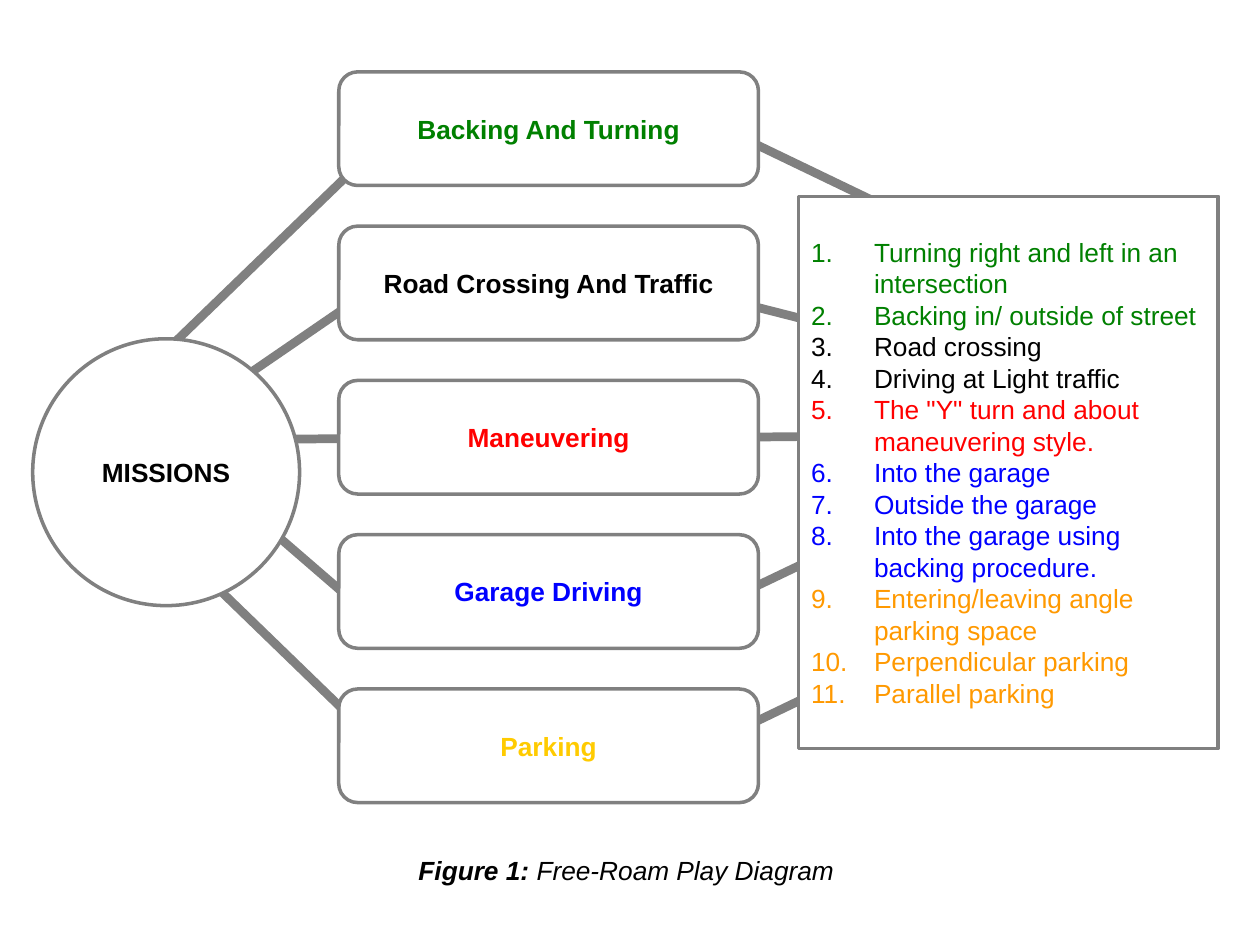
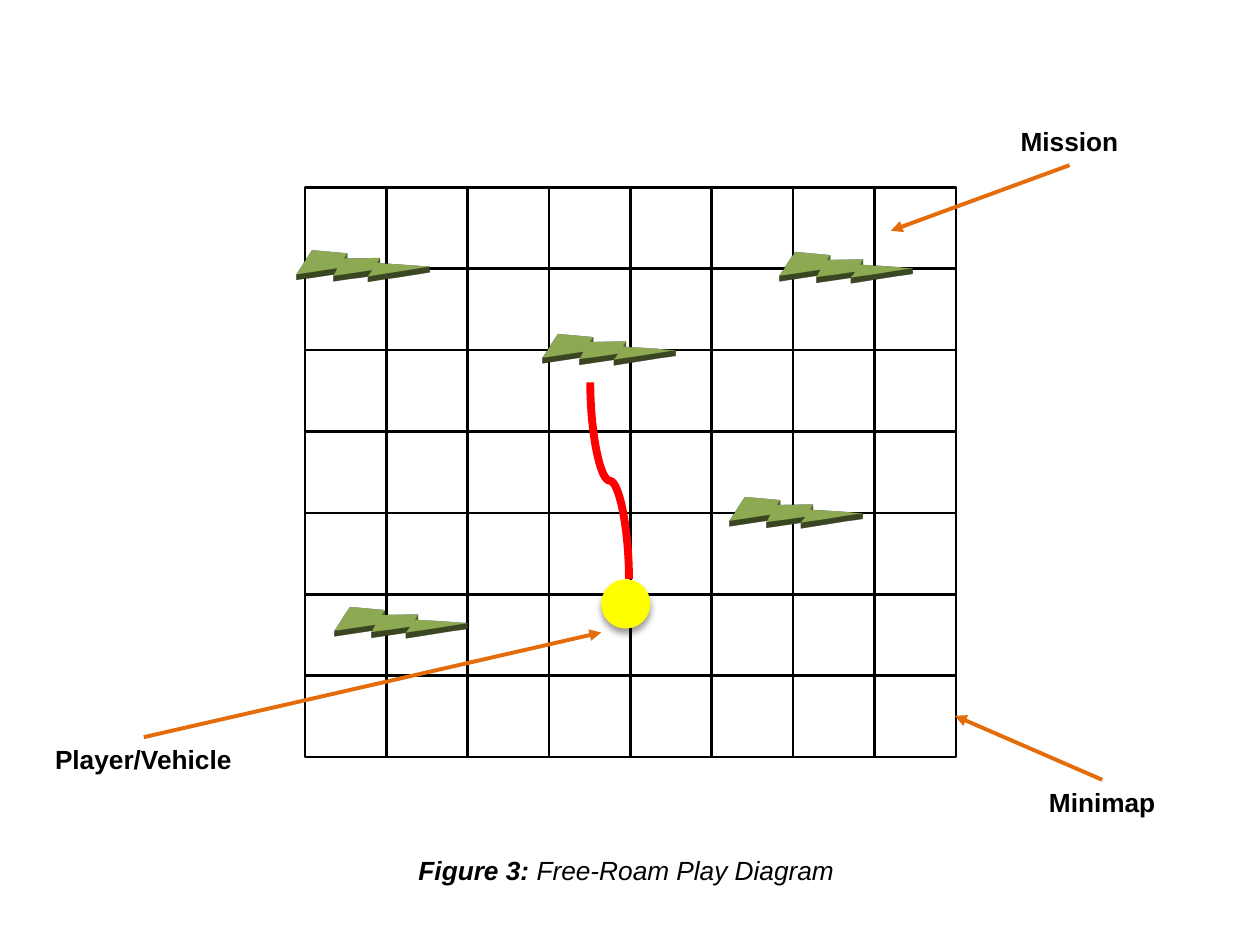
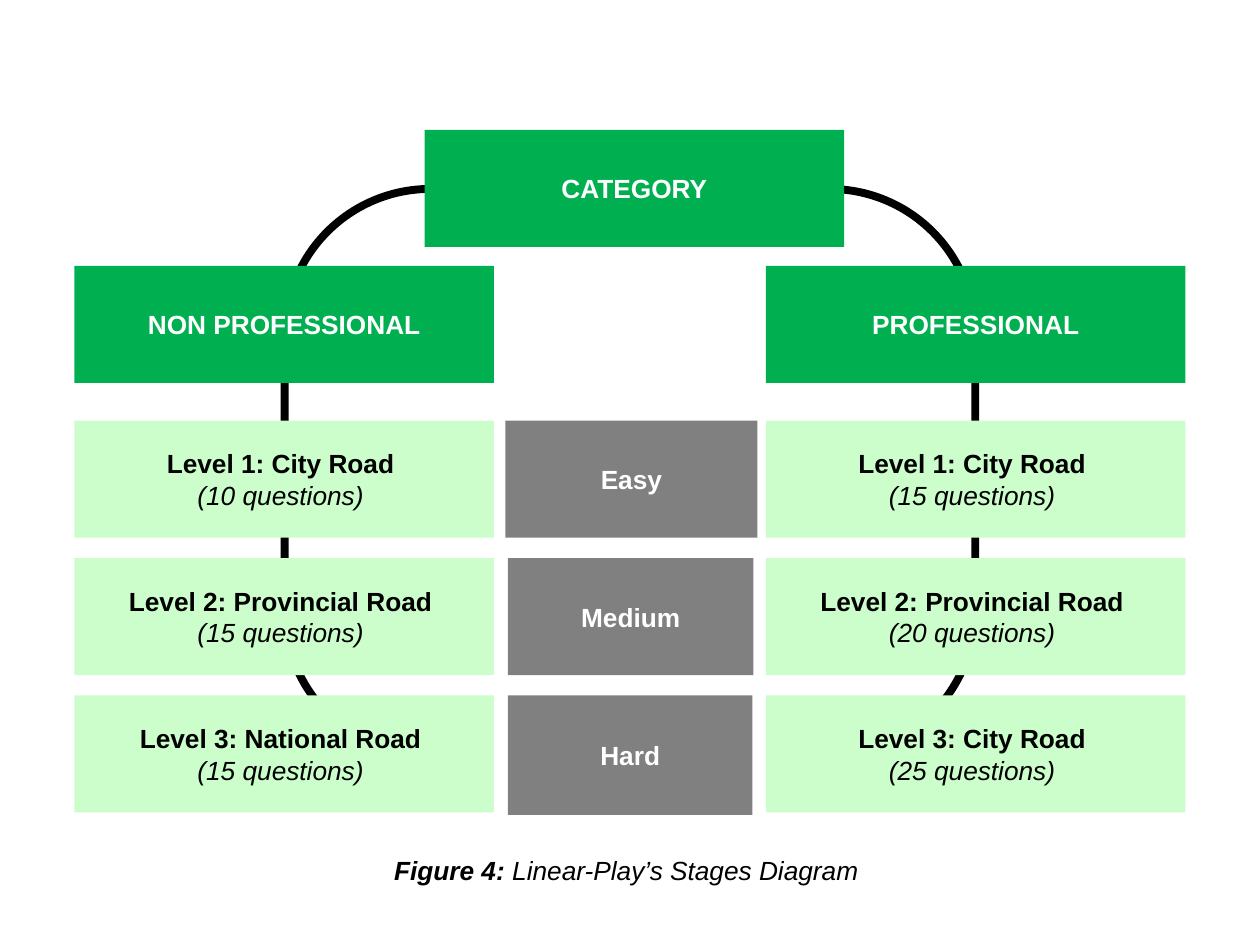
from lxml import etree
from pptx import Presentation
from pptx.dml.color import RGBColor
from pptx.enum.shapes import MSO_CONNECTOR, MSO_SHAPE
from pptx.enum.text import MSO_ANCHOR, PP_ALIGN
from pptx.oxml.ns import qn
from pptx.util import Cm, Pt

STRAIGHT, CURVE = MSO_CONNECTOR.STRAIGHT, MSO_CONNECTOR.CURVE
RECT, ROUNDED, OVAL = MSO_SHAPE.RECTANGLE, MSO_SHAPE.ROUNDED_RECTANGLE, MSO_SHAPE.OVAL
BOLT, BRACKETS = MSO_SHAPE.LIGHTNING_BOLT, MSO_SHAPE.DOUBLE_BRACKET
MIDDLE, LEFT, CENTER = MSO_ANCHOR.MIDDLE, PP_ALIGN.LEFT, PP_ALIGN.CENTER

FONT, TEXT_SIZE = "Arial", Pt(15)
COLORS = {
    "white": "FFFFFF", "black": "000000", "gray": "808080",
    "green": "008000", "red": "FF0000", "blue": "0000FF",
    "orange": "FF9900", "gold": "FFCB00", "yellow": "FFFF00",
    "arrow": "E46C0A", "bolt": "77933C", "bolt edge": "9BBB59",
    "category": "00B050", "level": "CCFECC",
}


def add_box(slide, kind, box, fill=None, line=None, width=2, paragraphs=(), align=CENTER):
    """Add a shape, or a text box if kind is None; runs are (text, color, bold, italic)."""
    place = [Cm(length) for length in box]
    if kind is None:
        shape = slide.shapes.add_textbox(*place)
    else:
        shape = slide.shapes.add_shape(kind, *place)
        shape.shadow.inherit = False
        shape.text_frame.vertical_anchor = MIDDLE
        if fill:
            shape.fill.solid()
            shape.fill.fore_color.rgb = RGBColor.from_string(COLORS[fill])
        else:
            shape.fill.background()
        if line:
            shape.line.color.rgb = RGBColor.from_string(COLORS[line])
            shape.line.width = Pt(width)
        else:
            shape.line.fill.background()
    frame = shape.text_frame
    frame.word_wrap = True
    for index, runs in enumerate(paragraphs):
        paragraph = frame.add_paragraph() if index else frame.paragraphs[0]
        paragraph.alignment = align
        for text, color, bold, italic in runs:
            run = paragraph.add_run()
            run.text = text
            run.font.name, run.font.size = FONT, TEXT_SIZE
            run.font.bold, run.font.italic = bold, italic
            run.font.color.rgb = RGBColor.from_string(COLORS[color])
    return shape


def add_line(slide, ends, color, width, kind=STRAIGHT):
    line = slide.shapes.add_connector(kind, *[Cm(length) for length in ends])
    line.line.color.rgb = RGBColor.from_string(COLORS[color])
    line.line.width = Pt(width)
    etree.SubElement(line._element.spPr, qn("a:effectLst"))
    return line


prs = Presentation()
prs.slide_width, prs.slide_height = Cm(25.4), Cm(19.05)
blank = prs.slide_layouts[6]

captions = [
    ("Figure 1:", " Free-Roam Play Diagram "),
    ("Figure 3:", " Free-Roam Play Diagram "),
    ("Figure 4:", " Linear-Play’s Stages Diagram "),
]
slides = []
for number, title in captions:
    slide = prs.slides.add_slide(blank)
    add_box(slide, None, (0, 17.09, 25.4, 0.89), paragraphs=[
        [(number, "black", True, True), (title, "black", False, True)]])
    slides.append(slide)
missions_slide, minimap_slide, stages_slide = slides

# Missions: links first, so that the boxes cover their ends
mission_links = [
    (14.48, 14.91, 19.35, 12.57), (13.67, 12.57, 18.54, 10.24),
    (12.37, 5.46, 18.47, 7.01), (10.11, 8.86, 20.35, 8.76),
    (13.72, 2.18, 18.75, 4.6), (3.91, 9.35, 7.37, 12.34),
    (3.86, 8.33, 8, 5.49), (3.15, 7.26, 7.9, 2.67),
    (2.74, 10.26, 7.49, 14.86), (5.08, 8.86, 15.29, 8.76),
]
for ends in mission_links:
    add_line(missions_slide, ends, "gray", 5)

tasks = [
    ("Turning right and left in an intersection", "green"),
    ("Backing in/ outside of street", "green"),
    ("Road crossing", "black"),
    ("Driving at Light traffic", "black"),
    ('The "Y" turn and about maneuvering style.', "red"),
    ("Into the garage", "blue"),
    ("Outside the garage", "blue"),
    ("Into the garage using backing procedure.", "blue"),
    ("Entering/leaving angle parking space", "orange"),
    ("Perpendicular parking", "orange"),
    ("Parallel parking", "orange"),
]
task_list = add_box(
    missions_slide, RECT, (16.1, 3.96, 8.46, 11.13), "white", "gray",
    paragraphs=[[(task, color, False, False)] for task, color in tasks], align=LEFT)
for paragraph in task_list.text_frame.paragraphs:
    properties = paragraph._p.get_or_add_pPr()
    properties.set("marL", str(Cm(1.27)))
    properties.set("indent", str(-Cm(1.27)))
    etree.SubElement(properties, qn("a:buFont"), typeface="+mj-lt")
    etree.SubElement(properties, qn("a:buAutoNum"), type="arabicPeriod")

add_box(missions_slide, OVAL, (0.66, 6.83, 5.38, 5.38), "white", "gray",
        paragraphs=[[("MISSIONS", "black", True, False)]])
missions = [
    ("Backing And Turning", "green"), ("Road Crossing And Traffic", "black"),
    ("Maneuvering", "red"), ("Garage Driving", "blue"), ("Parking", "gold"),
]
for row, (mission, color) in enumerate(missions):
    add_box(missions_slide, ROUNDED, (6.83, 1.45 + 3.11 * row, 8.46, 2.29), "white", "gray",
            paragraphs=[[(mission, color, True, False)]])

# Minimap
map_labels = [
    ("Player/Vehicle", -0.08, 14.86, 5.94),
    ("Mission", 19.58, 2.41, 3.96),
    ("Minimap", 20.24, 15.72, 3.96),
]
for label, left, top, width in map_labels:
    add_box(minimap_slide, None, (left, top, width, 0.89),
            paragraphs=[[(label, "black", True, False)]])

CELL = 1.64
for column in range(8):
    for row in range(7):
        add_box(minimap_slide, RECT, (6.15 + CELL * column, 3.78 + CELL * row, CELL, CELL),
                "white", "black", 1.5)

player = add_box(minimap_slide, OVAL, (12.12, 11.68, 0.99, 0.99), "yellow")
shadow = etree.SubElement(
    player._element.spPr.find(qn("a:effectLst")), qn("a:outerShdw"),
    blurRad=str(Pt(4)), dist=str(Pt(3)), dir="5400000", rotWithShape="0")
shadow_color = etree.SubElement(shadow, qn("a:srgbClr"), val=COLORS["black"])
etree.SubElement(shadow_color, qn("a:alpha"), val="40000")

mission_spots = [(11.1, 6.02), (14.88, 9.3), (6.15, 4.34), (15.88, 4.37), (6.91, 11.53)]
for left, top in mission_spots:
    marker = add_box(minimap_slide, BOLT, (left, top, 2.08, 2.08), "bolt", "bolt edge")
    scene = etree.SubElement(marker._element.spPr, qn("a:scene3d"))
    etree.SubElement(scene, qn("a:camera"), prst="isometricTopUp")
    etree.SubElement(scene, qn("a:lightRig"), rig="threePt", dir="t")
    etree.SubElement(marker._element.spPr, qn("a:sp3d"), extrusionH=str(Pt(4)))

route = add_line(minimap_slide, (14.27, 9.3, 10.31, 10.08), "red", 4.5, CURVE)
route._element.spPr.find(qn("a:xfrm")).set("rot", "16200000")

map_arrows = [
    (2.9, 14.86, 12.12, 12.75),
    (21.56, 3.33, 17.96, 4.65),
    (22.22, 15.72, 19.25, 14.43),
]
for ends in map_arrows:
    arrow = add_line(minimap_slide, ends, "arrow", 2.25)
    etree.SubElement(arrow.line._get_or_add_ln(), qn("a:tailEnd"), type="triangle")

# Stages
stage_loop = add_box(stages_slide, BRACKETS, (5.74, 3.81, 13.92, 11.43), line="black", width=4.5)
stage_loop.adjustments[0] = 0.257

BOX_WIDTH, BOX_HEIGHT = 8.46, 2.36
LEVEL_TOP, LEVEL_STEP = 8.48, 2.77
headings = [("CATEGORY", 8.56, 2.62), ("NON PROFESSIONAL", 1.5, 5.36), ("PROFESSIONAL", 15.44, 5.36)]
for heading, left, top in headings:
    add_box(stages_slide, RECT, (left, top, BOX_WIDTH, BOX_HEIGHT), "category",
            paragraphs=[[(heading, "white", True, False)]])

levels = {
    1.5: [("City", 10), ("Provincial", 15), ("National", 15)],
    15.44: [("City", 15), ("Provincial", 20), ("City", 25)],
}
for left, stages in levels.items():
    for row, (road, questions) in enumerate(stages):
        add_box(stages_slide, RECT, (left, LEVEL_TOP + LEVEL_STEP * row, BOX_WIDTH, BOX_HEIGHT),
                "level", paragraphs=[
                    [(f"Level {row + 1}: {road} Road ", "black", True, False)],
                    [(f"({questions} questions) ", "black", False, True)]])

difficulties = [("Easy", 10.19, 5.08, 2.36), ("Medium", 10.24, 4.95, 2.36), ("Hard", 10.24, 4.93, 2.41)]
for row, (difficulty, left, width, height) in enumerate(difficulties):
    add_box(stages_slide, RECT, (left, LEVEL_TOP + LEVEL_STEP * row, width, height), "gray",
            paragraphs=[[(difficulty, "white", True, False)]])

prs.save("out.pptx")
